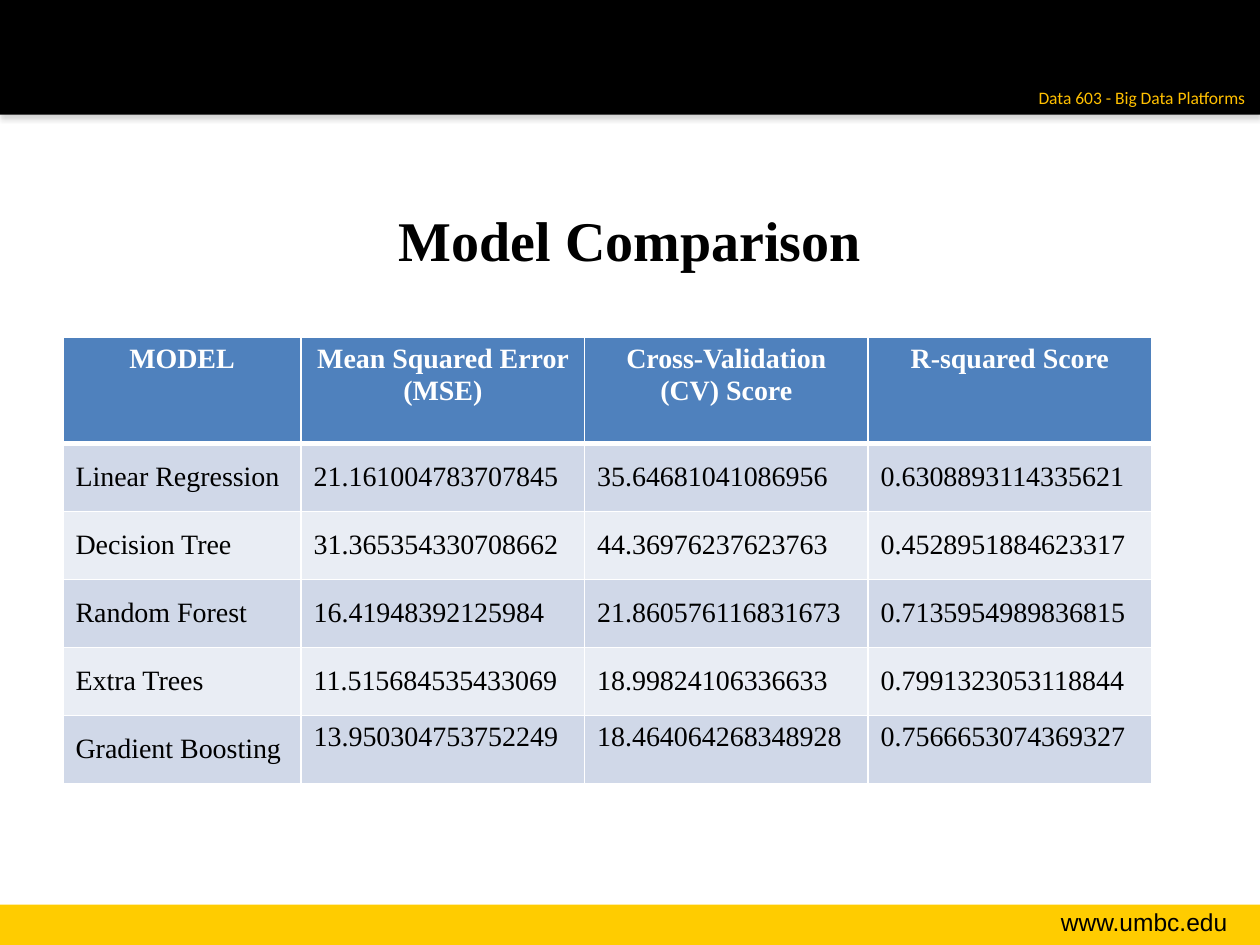
from dataclasses import dataclass

from lxml import etree
from pptx import Presentation
from pptx.dml.color import RGBColor
from pptx.enum.shapes import MSO_SHAPE
from pptx.enum.text import MSO_ANCHOR, PP_ALIGN
from pptx.oxml.ns import qn
from pptx.util import Inches, Pt

RECTANGLE = MSO_SHAPE.RECTANGLE
TOP, MIDDLE = MSO_ANCHOR.TOP, MSO_ANCHOR.MIDDLE
LEFT, CENTER, RIGHT = PP_ALIGN.LEFT, PP_ALIGN.CENTER, PP_ALIGN.RIGHT


@dataclass(frozen=True)
class Theme:
    black: str = "000000"
    white: str = "FFFFFF"
    gold: str = "FFCC00"
    course_gold: str = "FFC000"
    header_blue: str = "4F81BD"
    bands: tuple = ("D0D8E8", "E9EDF4")
    shadow: str = "808080"
    serif: str = "Times New Roman"
    sans: str = "Arial"
    label: str = "Calibri"
    title_size: int = 32
    table_size: int = 16
    site_size: int = 14
    course_size: int = 10


@dataclass(frozen=True)
class Box:
    left: float
    top: float
    width: float
    height: float

    def emu(self) -> tuple:
        return tuple(Inches(v) for v in (self.left, self.top, self.width, self.height))


@dataclass(frozen=True)
class ModelScore:
    model: str
    mse: str
    cross_validation: str
    r_squared: str
    score_anchor: MSO_ANCHOR = MIDDLE


THEME = Theme()
HEADINGS = ("MODEL", "Mean Squared Error (MSE)", "Cross-Validation (CV) Score", "R-squared Score")
SCORES = (
    ModelScore("Linear Regression", "21.161004783707845", "35.64681041086956", "0.6308893114335621"),
    ModelScore("Decision Tree", "31.365354330708662", "44.36976237623763", "0.4528951884623317"),
    ModelScore("Random Forest", "16.41948392125984", "21.860576116831673", "0.7135954989836815"),
    ModelScore("Extra Trees", "11.515684535433069", "18.99824106336633", "0.7991323053118844"),
    ModelScore("Gradient Boosting", "13.950304753752249", "18.464064268348928", "0.7566653074369327", TOP),
)
COLUMN_WIDTHS = (1.89, 2.25, 2.25, 2.25)
HEADER_HEIGHT, SCORE_HEIGHT = 0.84, 0.54
THIN, THICK = 1, 3


def write(frame, text: str, *, size: int, font: str, color: str,
          bold: bool = False, align: PP_ALIGN = LEFT) -> None:
    paragraph = frame.paragraphs[0]
    paragraph.alignment = align
    run = paragraph.add_run()
    run.text = text
    run.font.size = Pt(size)
    run.font.name = font
    run.font.bold = bold
    run.font.color.rgb = RGBColor.from_string(color)


def add_label(slide, box: Box, text: str, *, anchor: MSO_ANCHOR = TOP,
              wrap: bool = True, **text_format) -> None:
    frame = slide.shapes.add_textbox(*box.emu()).text_frame
    frame.word_wrap = wrap
    frame.vertical_anchor = anchor
    write(frame, text, **text_format)


def add_band(slide, box: Box, color: str):
    band = slide.shapes.add_shape(RECTANGLE, *box.emu())
    band.shadow.inherit = False
    band.fill.solid()
    band.fill.fore_color.rgb = RGBColor.from_string(color)
    band.line.fill.background()
    return band


def add_shadow(band) -> None:
    effects = band._element.spPr.find(qn("a:effectLst"))
    shadow = etree.SubElement(effects, qn("a:outerShdw"), blurRad=str(Pt(3.1)),
                              dist=str(Pt(1.8)), dir="5400000", rotWithShape="0")
    color = etree.SubElement(shadow, qn("a:srgbClr"), val=THEME.shadow)
    etree.SubElement(color, qn("a:alpha"), val="35000")


def set_borders(cell, top: int, bottom: int) -> None:
    properties = cell._tc.get_or_add_tcPr()
    edges = (("a:lnL", THIN), ("a:lnR", THIN), ("a:lnT", top), ("a:lnB", bottom))
    for position, (edge, width) in enumerate(edges):
        border = etree.Element(qn(edge), w=str(Pt(width)))
        fill = etree.SubElement(border, qn("a:solidFill"))
        etree.SubElement(fill, qn("a:srgbClr"), val=THEME.white)
        properties.insert(position, border)


def fill_cell(cell, text: str, *, fill: str, anchor: MSO_ANCHOR = TOP,
              top: int = THIN, bottom: int = THIN, **text_format) -> None:
    cell.fill.solid()
    cell.fill.fore_color.rgb = RGBColor.from_string(fill)
    cell.vertical_anchor = anchor
    set_borders(cell, top, bottom)
    write(cell.text_frame, text, size=THEME.table_size, font=THEME.serif, **text_format)


def add_score_table(slide) -> None:
    box = Box(0.5, 2.68, sum(COLUMN_WIDTHS), HEADER_HEIGHT + SCORE_HEIGHT * len(SCORES))
    table = slide.shapes.add_table(len(SCORES) + 1, len(HEADINGS), *box.emu()).table
    for column, width in zip(table.columns, COLUMN_WIDTHS):
        column.width = Inches(width)
    for index, row in enumerate(table.rows):
        row.height = Inches(SCORE_HEIGHT if index else HEADER_HEIGHT)
    for column, heading in enumerate(HEADINGS):
        fill_cell(table.cell(0, column), heading, fill=THEME.header_blue, bottom=THICK,
                  color=THEME.white, bold=True, align=CENTER)
    for row, score in enumerate(SCORES, start=1):
        values = (score.model, score.mse, score.cross_validation, score.r_squared)
        for column, value in enumerate(values):
            fill_cell(table.cell(row, column), value,
                      fill=THEME.bands[(row - 1) % len(THEME.bands)],
                      anchor=score.score_anchor if column else MIDDLE,
                      top=THICK if row == 1 else THIN, color=THEME.black)


def main() -> None:
    presentation = Presentation()
    presentation.slide_width, presentation.slide_height = Inches(10), Inches(7.5)
    slide = presentation.slides.add_slide(presentation.slide_layouts[6])

    add_band(slide, Box(0, 7.18, 10, 0.32), THEME.gold)
    add_shadow(add_band(slide, Box(0, 0, 10, 0.91), THEME.black))
    add_label(slide, Box(7.85, 7.15, 1.99, 0.34), "www.umbc.edu", size=THEME.site_size,
              font=THEME.sans, color=THEME.black, align=RIGHT)
    add_label(slide, Box(8.11, 0.64, 1.87, 0.27), "Data 603 - Big Data Platforms", wrap=False,
              size=THEME.course_size, font=THEME.label, color=THEME.course_gold, align=RIGHT)
    add_label(slide, Box(0.5, 1.27, 9, 1.25), "Model Comparison", anchor=MIDDLE,
              size=THEME.title_size, font=THEME.serif, color=THEME.black, bold=True, align=CENTER)
    add_score_table(slide)
    presentation.save("out.pptx")


if __name__ == "__main__":
    main()
